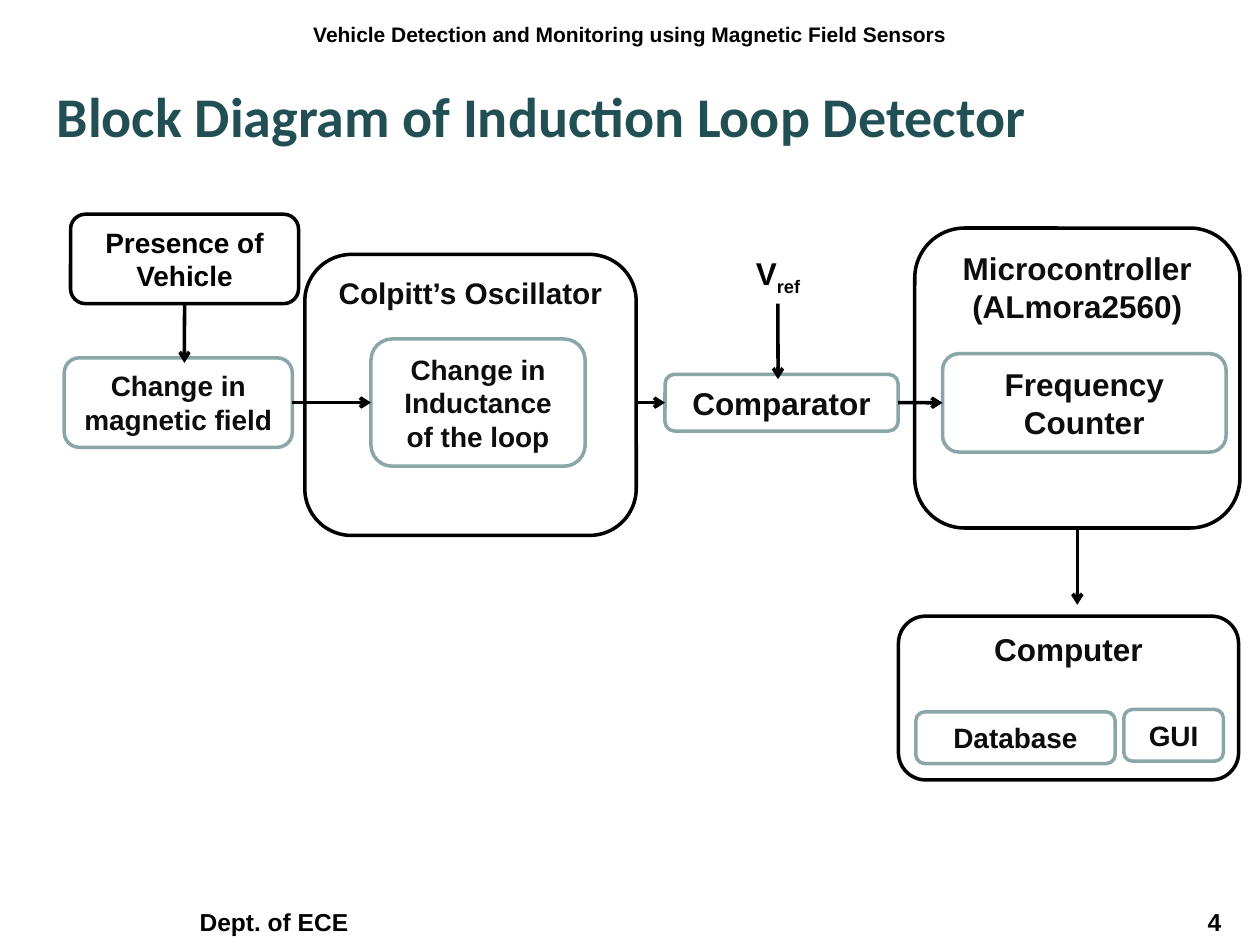
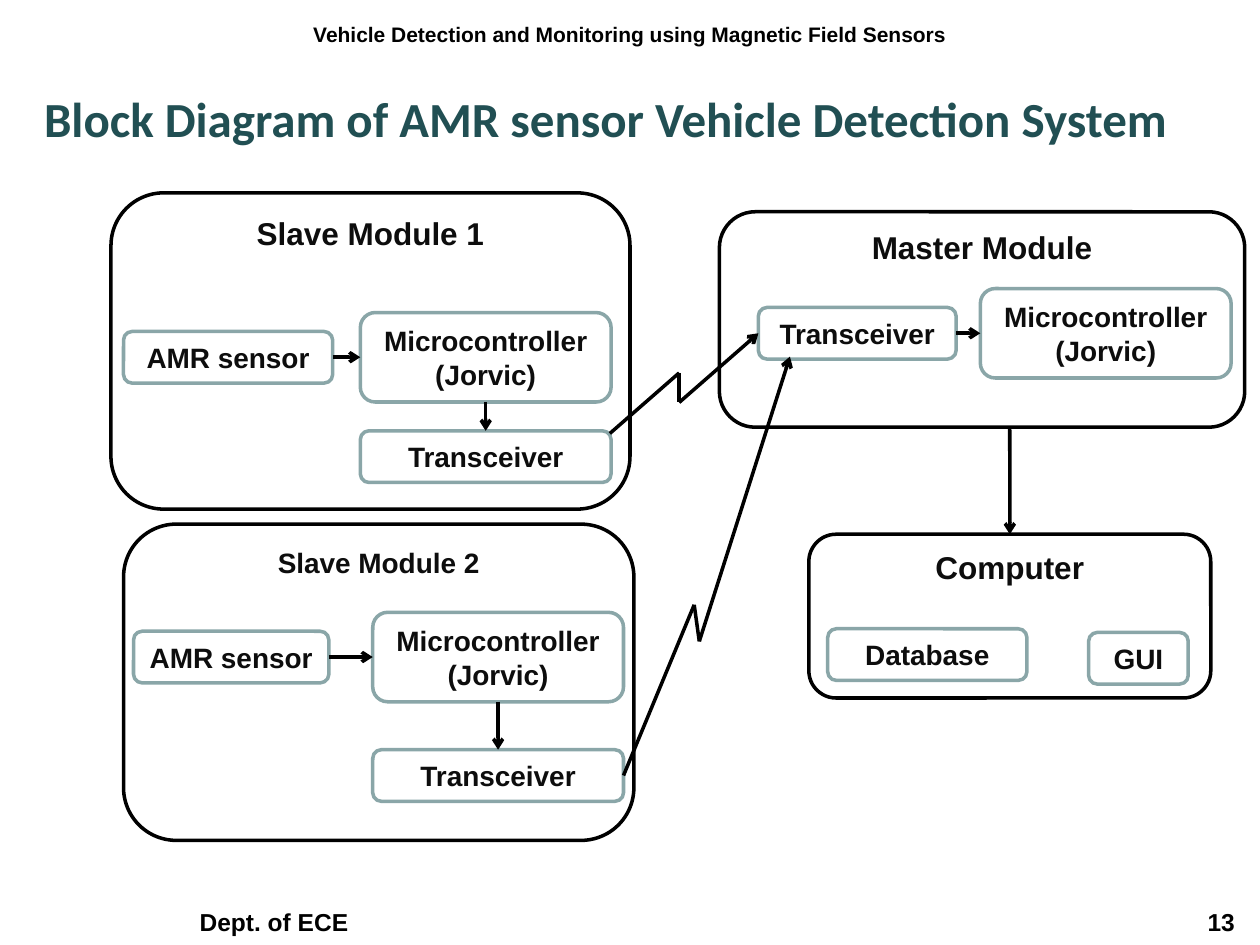
from itertools import pairwise

from lxml import etree
from pptx import Presentation
from pptx.dml.color import RGBColor
from pptx.enum.shapes import MSO_CONNECTOR, MSO_SHAPE
from pptx.enum.text import MSO_ANCHOR, MSO_AUTO_SIZE, PP_ALIGN
from pptx.oxml.ns import qn
from pptx.util import Pt

ROUNDED = MSO_SHAPE.ROUNDED_RECTANGLE
STRAIGHT = MSO_CONNECTOR.STRAIGHT
TOP, MIDDLE, BOTTOM = MSO_ANCHOR.TOP, MSO_ANCHOR.MIDDLE, MSO_ANCHOR.BOTTOM
LEFT, CENTER = PP_ALIGN.LEFT, PP_ALIGN.CENTER
NO_FIT = MSO_AUTO_SIZE.NONE
UP, WEST, DOWN, EAST = 0, 1, 2, 3

COLORS = {
    "title": "214F53",
    "teal": "8AA6A8",
    "ink": "0D0D0D",
    "black": "000000",
    "white": "FFFFFF",
}
STYLES = {
    "frame": {"fill": None, "line": "black", "text": "ink", "anchor": TOP},
    "part": {"fill": "white", "line": "teal", "text": "ink", "anchor": MIDDLE},
    "input": {"fill": "white", "line": "black", "text": "black", "anchor": MIDDLE},
    "label": {"fill": None, "line": None, "text": "black", "anchor": MIDDLE},
}
HEADER = "Vehicle Detection and Monitoring using Magnetic Field Sensors"
DEPARTMENT = "Dept. of ECE"
FOOTER_TABS = (107, 683)
LINE_WIDTH = Pt(2)

SLIDES = [
    {
        "title": "Block Diagram of Induction Loop Detector",
        "title_size": 32,
        "title_box": (25.2, 43.2, 674.6, 53.3),
        "number": 4,
        "blocks": {
            "oscillator": ("frame", "Colpitt’s Oscillator", 17, (174.2, 145.4, 189.4, 160.6)),
            "controller": ("frame", "Microcontroller\n(ALmora2560)", 18, (522.7, 130.3, 185.8, 171.4)),
            "computer": ("frame", "Computer", 18, (513.4, 352.1, 194.4, 93.6)),
            "vehicle": ("input", "Presence of Vehicle", 16, (40.3, 122.4, 130.3, 51.1)),
            "field": ("part", "Change in magnetic field", 16, (36.7, 204.5, 130.3, 51.1)),
            "inductance": ("part", "Change in Inductance of the loop", 16, (212, 193.7, 122.4, 72.7)),
            "reference": ("label", "V_ref", 18, (379.4, 141.1, 130.3, 32.4)),
            "comparator": ("part", "Comparator", 18, (380, 213.9, 133.2, 32.4)),
            "counter": ("part", "Frequency Counter", 18, (538.6, 202.1, 162, 56.2)),
            "database": ("part", "Database", 16, (523.4, 406.8, 113.8, 29.5)),
            "gui": ("part", "GUI", 16, (642.2, 405.4, 56.9, 29.5)),
        },
        "links": [
            [("vehicle", DOWN), (105.4, 207.4)],
            [("field", EAST), ("inductance", WEST)],
            [(363.6, 230.1), ("comparator", WEST)],
            [("reference", DOWN), (444.6, 216.7)],
            [("comparator", EAST), ("counter", WEST)],
            [("controller", DOWN), (615.6, 345.6)],
        ],
    },
    {
        "title": "Block Diagram of AMR sensor Vehicle Detection System",
        "title_size": 28,
        "title_box": (18, 46.8, 666, 41.8),
        "number": 13,
        "blocks": {
            "slave 1": ("frame", "Slave Module 1", 18, (63.4, 110.2, 296.6, 180.7)),
            "slave 2": ("frame", "Slave Module 2", 16, (70.6, 299.5, 291.6, 180.7)),
            "master": ("frame", "Master Module", 18, (411.1, 121, 300.2, 123.1)),
            "computer": ("frame", "Computer", 18, (462.2, 305.3, 229.7, 93.6)),
            "sensor 1": ("part", "AMR sensor", 16, (70.6, 189.4, 119.5, 29.5)),
            "controller 1": ("part", "Microcontroller\n(Jorvic)", 16, (205.9, 178.6, 143.3, 51.1)),
            "transceiver 1": ("part", "Transceiver", 16, (205.9, 246.2, 143.3, 29.5)),
            "sensor 2": ("part", "AMR sensor", 16, (76.3, 360.7, 111.6, 29.5)),
            "controller 2": ("part", "Microcontroller\n(Jorvic)", 16, (213, 349.9, 143.3, 51.1)),
            "transceiver 2": ("part", "Transceiver", 16, (213, 428.4, 143.3, 29.5)),
            "receiver": ("part", "Transceiver", 16, (433.4, 175.7, 113, 29.5)),
            "controller": ("part", "Microcontroller\n(Jorvic)", 16, (560.2, 164.9, 143.3, 51.1)),
            "database": ("part", "Database", 16, (473, 359.3, 113.8, 29.5)),
            "gui": ("part", "GUI", 16, (622.1, 361.4, 56.9, 29.5)),
        },
        "links": [
            [("sensor 1", EAST), ("controller 1", WEST)],
            [("controller 1", DOWN), ("transceiver 1", UP)],
            [("sensor 2", EAST), ("controller 2", WEST)],
            [("controller 2", DOWN), ("transceiver 2", UP)],
            [("receiver", EAST), ("controller", WEST)],
            [(577, 244.1), ("computer", UP)],
            [(348.5, 247.7), (388.1, 213.1), (388.1, 230), ("receiver", WEST)],
            [("transceiver 2", EAST), (396.7, 345.6), (399.6, 366.5), (451.4, 203.8)],
        ],
    },
]


def write(frame, text, align, anchor, font_values, color):
    for name, value in {"word_wrap": True, "auto_size": NO_FIT, "vertical_anchor": anchor}.items():
        setattr(frame, name, value)
    frame.text = text
    for para in frame.paragraphs:
        para.alignment = align
        for span in para.runs:
            for name, value in font_values.items():
                setattr(span.font, name, value)
            span.font.color.rgb = RGBColor.from_string(COLORS[color])


def connect(page, boxes, start, end, has_arrow):
    points = [(0, 0) if isinstance(spot[0], str) else spot for spot in (start, end)]
    line = page.shapes.add_connector(STRAIGHT, *(Pt(value) for point in points for value in point))
    for spot, join in ((start, line.begin_connect), (end, line.end_connect)):
        if isinstance(spot[0], str):
            join(boxes[spot[0]], spot[1])
    line.line.width = LINE_WIDTH
    line.line.color.rgb = RGBColor.from_string(COLORS["black"])
    properties = line._element.spPr
    if has_arrow:
        etree.SubElement(properties.find(qn("a:ln")), qn("a:tailEnd"), type="arrow")
    etree.SubElement(properties, qn("a:effectLst"))


deck = Presentation()
deck.slide_width, deck.slide_height = Pt(720), Pt(540)

for content in SLIDES:
    page = deck.slides.add_slide(deck.slide_layouts[5])

    title = page.shapes.title
    for name, value in zip(("left", "top", "width", "height"), content["title_box"]):
        setattr(title, name, Pt(value))
    title_font = {"name": "Calibri", "size": Pt(content["title_size"]), "bold": True}
    write(title.text_frame, content["title"], LEFT, TOP, title_font, "title")

    header = page.shapes.add_textbox(Pt(0), Pt(9), Pt(720), Pt(28.8))
    header_font = {"name": "Arial", "size": Pt(12), "bold": True}
    write(header.text_frame, HEADER, CENTER, TOP, header_font, "black")

    footer = page.shapes.add_textbox(Pt(0), Pt(509.8), Pt(720), Pt(28.8))
    footer.text_frame.text = ""
    footer_text = f"\t{DEPARTMENT}\t{content['number']}"
    footer_font = {"name": "Arial", "size": Pt(14), "bold": True}
    write(footer.text_frame, footer_text, LEFT, BOTTOM, footer_font, "black")
    tab_list = etree.SubElement(footer.text_frame.paragraphs[0]._p.get_or_add_pPr(), qn("a:tabLst"))
    for position in FOOTER_TABS:
        etree.SubElement(tab_list, qn("a:tab"), pos=str(Pt(position)), algn="l")

    boxes = {}
    for key, (kind, text, size, place) in content["blocks"].items():
        style = STYLES[kind]
        box = page.shapes.add_shape(ROUNDED, *(Pt(value) for value in place))
        box.shadow.inherit = False
        if style["fill"]:
            box.fill.solid()
            box.fill.fore_color.rgb = RGBColor.from_string(COLORS[style["fill"]])
        else:
            box.fill.background()
        if style["line"]:
            box.line.width = LINE_WIDTH
            box.line.color.rgb = RGBColor.from_string(COLORS[style["line"]])
        else:
            box.line.fill.background()
        base, _, subscript = text.partition("_")
        block_font = {"name": "Arial", "size": Pt(size), "bold": True}
        write(box.text_frame, base, CENTER, style["anchor"], block_font, style["text"])
        if subscript:
            span = box.text_frame.paragraphs[0].add_run()
            span.text = subscript
            for name, value in block_font.items():
                setattr(span.font, name, value)
            span.font.color.rgb = RGBColor.from_string(COLORS[style["text"]])
            span._r.get_or_add_rPr().set("baseline", "-25000")
        boxes[key] = box

    for link in content["links"]:
        for start, end in pairwise(link):
            connect(page, boxes, start, end, end == link[-1])

deck.save("out.pptx")
